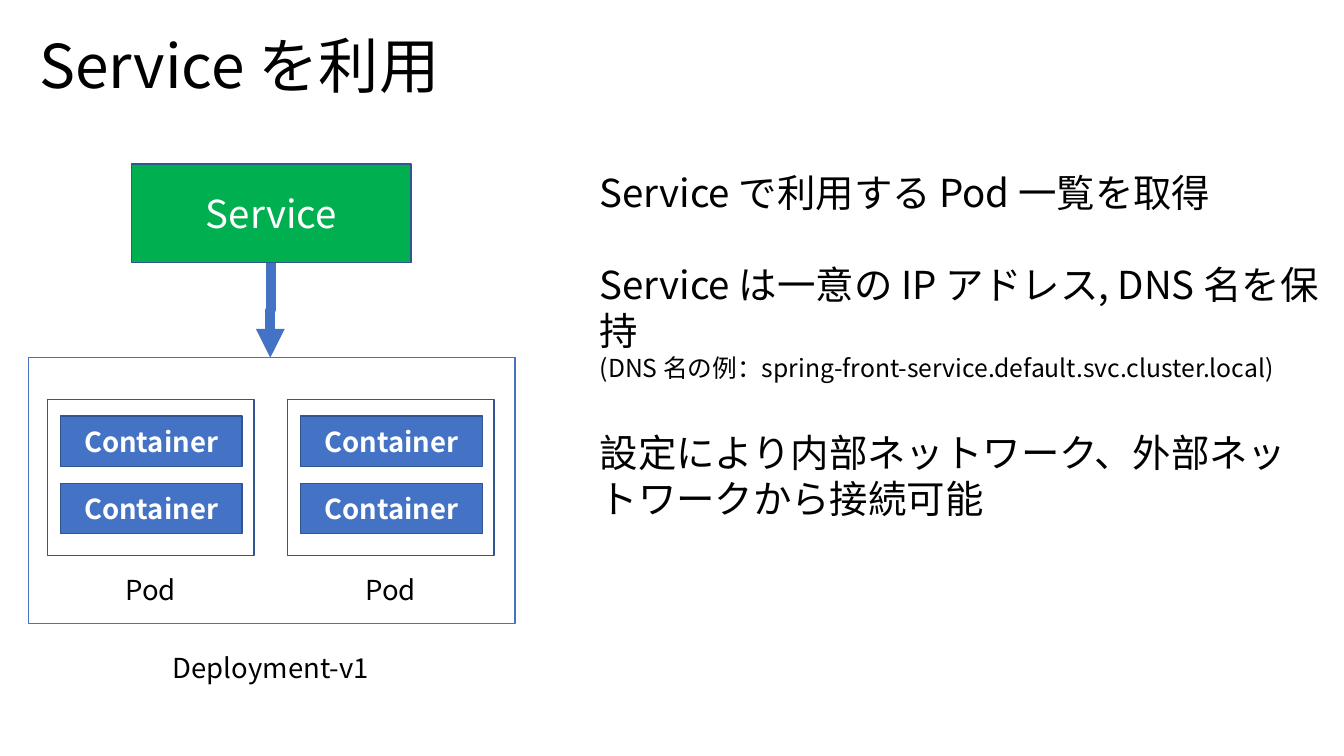
from dataclasses import dataclass

from lxml import etree
from pptx import Presentation
from pptx.dml.color import RGBColor
from pptx.enum.shapes import MSO_CONNECTOR, MSO_SHAPE
from pptx.enum.text import MSO_ANCHOR, MSO_AUTO_SIZE, PP_ALIGN
from pptx.oxml.ns import qn
from pptx.util import Inches, Pt

RECTANGLE = MSO_SHAPE.RECTANGLE
ELBOW = MSO_CONNECTOR.ELBOW
TOP, MIDDLE = MSO_ANCHOR.TOP, MSO_ANCHOR.MIDDLE
CENTER = PP_ALIGN.CENTER
GROW = MSO_AUTO_SIZE.SHAPE_TO_FIT_TEXT


@dataclass(frozen=True)
class Theme:
    font: str = "Noto Sans CJK JP"
    ink: RGBColor = RGBColor(0x00, 0x00, 0x00)
    white: RGBColor = RGBColor(0xFF, 0xFF, 0xFF)
    blue: RGBColor = RGBColor(0x44, 0x72, 0xC4)
    outline: RGBColor = RGBColor(0x32, 0x54, 0x91)
    green: RGBColor = RGBColor(0x00, 0xB0, 0x50)
    title: Pt = Pt(44)
    body: Pt = Pt(28)
    label: Pt = Pt(20)
    note: Pt = Pt(18)


THEME = Theme()
LABEL_FRAME = {
    "auto_size": GROW,
    "margin_left": Inches(0.2),
    "margin_right": Inches(0.2),
    "margin_top": Inches(0.16),
    "margin_bottom": Inches(0.16),
}
LABEL_PARAGRAPH = {"alignment": CENTER, "line_spacing": 0.9, "space_after": Pt(6)}


def apply_format(target, values):
    for name, value in values.items():
        setattr(target, name, value)


def write(paragraph, text, size, color, bold=False, **layout):
    apply_format(paragraph, layout)
    run = paragraph.add_run()
    run.text = text
    apply_format(run.font, {"name": THEME.font, "size": size, "bold": bold})
    run.font.color.rgb = color
    east_asian = etree.Element(qn("a:ea"), typeface=THEME.font)
    run.font._element.find(qn("a:latin")).addnext(east_asian)


def add_text(slide, box, **frame_format):
    frame = slide.shapes.add_textbox(*map(Inches, box)).text_frame
    apply_format(frame, {"word_wrap": True, "vertical_anchor": TOP, **frame_format})
    return frame


def add_label(slide, box, text):
    frame = add_text(slide, box, **LABEL_FRAME)
    write(frame.paragraphs[0], text, THEME.label, THEME.ink, **LABEL_PARAGRAPH)


def add_box(slide, box, line, fill=None):
    rectangle = slide.shapes.add_shape(RECTANGLE, *map(Inches, box))
    rectangle.shadow.inherit = False
    if fill is None:
        rectangle.fill.background()
    else:
        rectangle.fill.solid()
        rectangle.fill.fore_color.rgb = fill
    rectangle.line.color.rgb = line
    rectangle.line.width = Pt(1)
    return rectangle


def add_named_box(slide, box, text, fill, size, bold=False):
    frame = add_box(slide, box, THEME.outline, fill).text_frame
    apply_format(frame, {"word_wrap": True, "vertical_anchor": MIDDLE})
    write(frame.paragraphs[0], text, size, THEME.white, bold, alignment=CENTER)


def add_pod(slide, left):
    add_box(slide, (left, 4.04, 2.09, 1.58), THEME.outline)
    for top in (4.21, 4.89):
        add_named_box(slide, (left + 0.13, top, 1.84, 0.51), "Container",
                      THEME.blue, THEME.label, bold=True)
    add_label(slide, (left, 5.69, 2.09, 0.63), "Pod")


def add_down_arrow(slide, center_x, top, length, jog):
    middle = top + length / 2
    ends = (center_x - length / 2, middle - jog / 2,
            center_x + length / 2, middle + jog / 2)
    arrow = slide.shapes.add_connector(ELBOW, *map(Inches, ends))
    arrow.line.color.rgb = THEME.blue
    arrow.line.width = Pt(7)
    properties = arrow._element.spPr
    properties.find(qn("a:xfrm")).set("rot", str(90 * 60000))
    etree.SubElement(properties.find(qn("a:ln")), qn("a:tailEnd"), type="triangle")
    etree.SubElement(properties, qn("a:effectLst"))


def add_explanation(slide):
    frame = add_text(slide, (5.97, 1.66, 7.49, 3.7), auto_size=GROW)
    points = (
        ("Service で利用する Pod 一覧を取得", THEME.body, 0),
        ("Service は一意の IP アドレス, DNS 名を保持", THEME.body, 33.5),
        ("(DNS 名の例：spring-front-service.default.svc.cluster.local)", THEME.note, 0),
        ("設定により内部ネットワーク、外部ネットワークから接続可能", THEME.body, 33.5),
    )
    for index, (text, size, gap) in enumerate(points):
        paragraph = frame.add_paragraph() if index else frame.paragraphs[0]
        write(paragraph, text, size, THEME.ink, space_before=Pt(gap))


def main():
    presentation = Presentation()
    apply_format(presentation, {"slide_width": Inches(13.6), "slide_height": Inches(7.65)})
    slide = presentation.slides.add_slide(presentation.slide_layouts[6])

    title = add_text(slide, (0.3, 0.32, 13, 1))
    write(title.paragraphs[0], "Service を利用", THEME.title, THEME.ink, line_spacing=0.9)

    for left in (0.48, 2.91):
        add_pod(slide, left)
    add_box(slide, (0.29, 3.62, 4.92, 2.69), THEME.blue)
    add_label(slide, (1.49, 6.48, 2.5, 0.63), "Deployment-v1")
    add_named_box(slide, (1.33, 1.66, 2.83, 1), "Service", THEME.green, THEME.body)
    add_down_arrow(slide, center_x=2.74, top=2.66, length=0.96, jog=0.01)
    add_explanation(slide)

    presentation.save("out.pptx")


if __name__ == "__main__":
    main()
